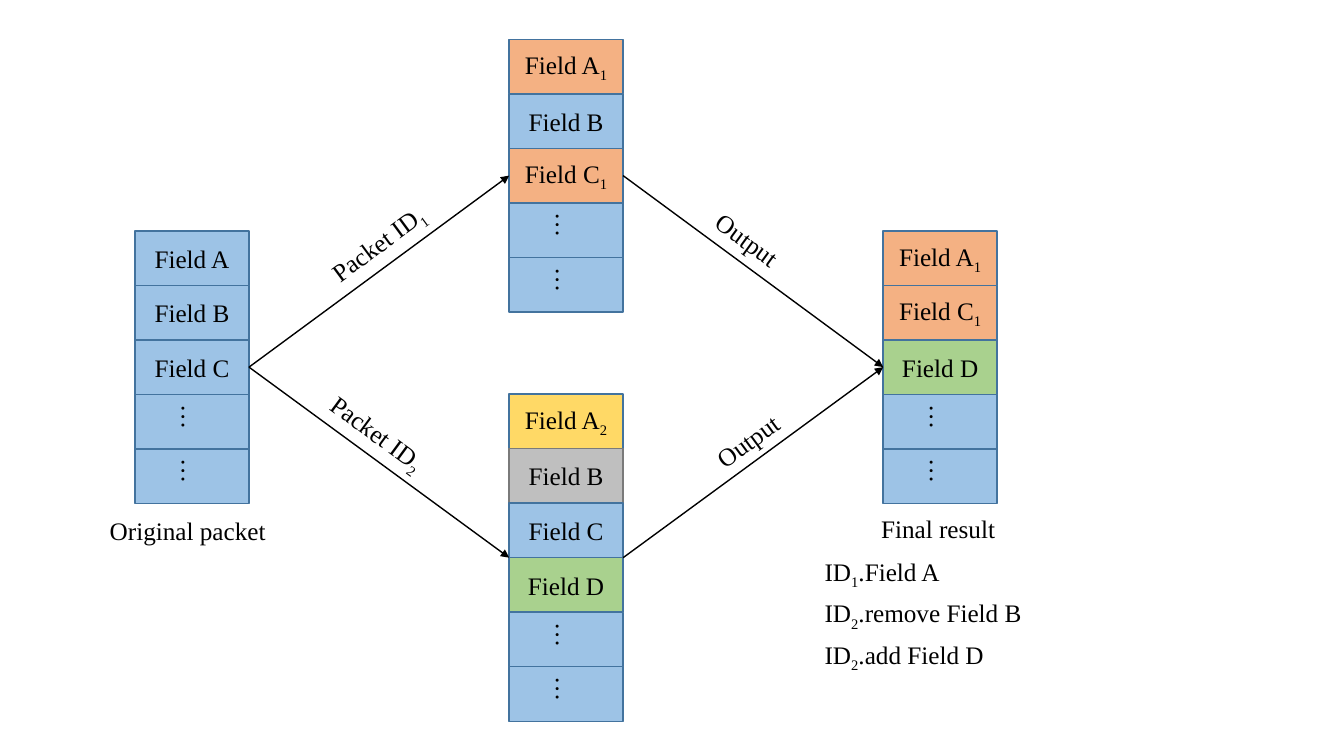
import pptx
import pptx.util
import pptx.dml.color
import pptx.enum.shapes
import pptx.enum.text
import pptx.oxml.ns
import lxml.etree

Inches = pptx.util.Inches
RGBColor = pptx.dml.color.RGBColor
qn = pptx.oxml.ns.qn

BLACK = RGBColor(0x00, 0x00, 0x00)
BLUE = RGBColor(0x9D, 0xC3, 0xE6)
ORANGE = RGBColor(0xF4, 0xB1, 0x83)
GREEN = RGBColor(0xA9, 0xD1, 0x8E)
YELLOW = RGBColor(0xFF, 0xD9, 0x66)
GRAY = RGBColor(0xBF, 0xBF, 0xBF)
EDGE = RGBColor(0x43, 0x73, 0x9E)
DARK = RGBColor(0x7A, 0x7A, 0x7A)

# Grid: three columns of packets, fields stacked in equal rows
LEFT, STEP, WIDE = 1.34, 3.71, 1.13
ROW = 0.541
UPPER, MID, LOWER = 0.39, 2.29, 3.91
LINE = 0.4


def write(para, text):
    """Fill a paragraph; the character after each "_" is a subscript."""
    head, *rest = text.split("_")
    parts = [(head, False)]
    for part in rest:
        parts += [(part[0], True), (part[1:], False)]
    for words, sub in parts:
        if not words:
            continue
        run = para.add_run()
        run.text = words
        run.font.name = "Times New Roman"
        run.font.size = pptx.util.Pt(18)
        run.font.color.rgb = BLACK
        if sub:
            run.font._element.set("baseline", "-25000")


prs = pptx.Presentation()
prs.slide_width = Inches(13.33)
prs.slide_height = Inches(7.5)
slide = prs.slides.add_slide(prs.slide_layouts[6])
shapes = slide.shapes

# Packets: column, top, fields from top to bottom
more = [("…", BLUE)] * 2
packets = [
    (0, MID, [("Field A", BLUE), ("Field B", BLUE), ("Field C", BLUE)]),
    (1, UPPER, [("Field A_1", ORANGE), ("Field B", BLUE), ("Field C_1", ORANGE)]),
    (1, LOWER, [("Field A_2", YELLOW), ("Field B", GRAY), ("Field C", BLUE),
                ("Field D", GREEN)]),
    (2, MID, [("Field A_1", ORANGE), ("Field C_1", ORANGE), ("Field D", GREEN)]),
]
for col, top, fields in packets:
    for row, (text, fill) in enumerate(fields + more):
        box = shapes.add_shape(
            pptx.enum.shapes.MSO_SHAPE.RECTANGLE, Inches(LEFT + col * STEP),
            Inches(top + row * ROW), Inches(WIDE), Inches(ROW))
        box.shadow.inherit = False
        box.fill.solid()
        box.fill.fore_color.rgb = fill
        box.line.color.rgb = DARK if fill == GRAY else EDGE
        box.line.width = pptx.util.Pt(1)
        frame = box.text_frame
        frame.vertical_anchor = pptx.enum.text.MSO_ANCHOR.MIDDLE
        para = frame.paragraphs[0]
        para.alignment = pptx.enum.text.PP_ALIGN.CENTER
        write(para, text)
        if text == "…":
            box.element.txBody.find(qn("a:bodyPr")).set("vert", "eaVert")

# Arrows: from the right edge of one column to the left edge of the next
center = MID + 2.5 * ROW
high = UPPER + 2.5 * ROW
low = LOWER + 3 * ROW
for col, start, end in [(0, center, high), (0, center, low),
                        (1, high, center), (1, low, center)]:
    arrow = shapes.add_connector(
        pptx.enum.shapes.MSO_CONNECTOR.STRAIGHT,
        Inches(LEFT + col * STEP + WIDE), Inches(start),
        Inches(LEFT + (col + 1) * STEP), Inches(end))
    arrow.line.color.rgb = BLACK
    arrow.line.width = pptx.util.Pt(1)
    tip = lxml.etree.SubElement(arrow.line._get_or_add_ln(), qn("a:tailEnd"))
    tip.set("type", "triangle")
    lxml.etree.SubElement(arrow.element.spPr, qn("a:effectLst"))

# Labels: text, left, top, width, turn
labels = [
    ("Packet ID_1", 3.11, 2.2, 1.31, -36.4),
    ("Packet ID_2", 3.11, 4.11, 1.31, 36.4),
    ("Output", 6.96, 2.2, 0.97, 36.1),
    ("Output", 6.96, 4.15, 0.97, -36.3),
    ("Original packet", 0.99, 5.06, 1.83, 0),
    ("Final result", 8.64, 5.04, 1.37, 0),
]
notes = [("ID_1.Field A", 1.39), ("ID_2.remove Field B", 2.22),
         ("ID_2.add Field D", 2.22)]
for row, (text, width) in enumerate(notes):
    labels.append((text, 8.08, 5.47 + row * 0.41, width, 0))
for text, left, top, width, turn in labels:
    label = shapes.add_textbox(
        Inches(left), Inches(top), Inches(width), Inches(LINE))
    label.rotation = turn
    label.text_frame.word_wrap = False
    label.text_frame.auto_size = pptx.enum.text.MSO_AUTO_SIZE.SHAPE_TO_FIT_TEXT
    write(label.text_frame.paragraphs[0], text)

prs.save("out.pptx")
